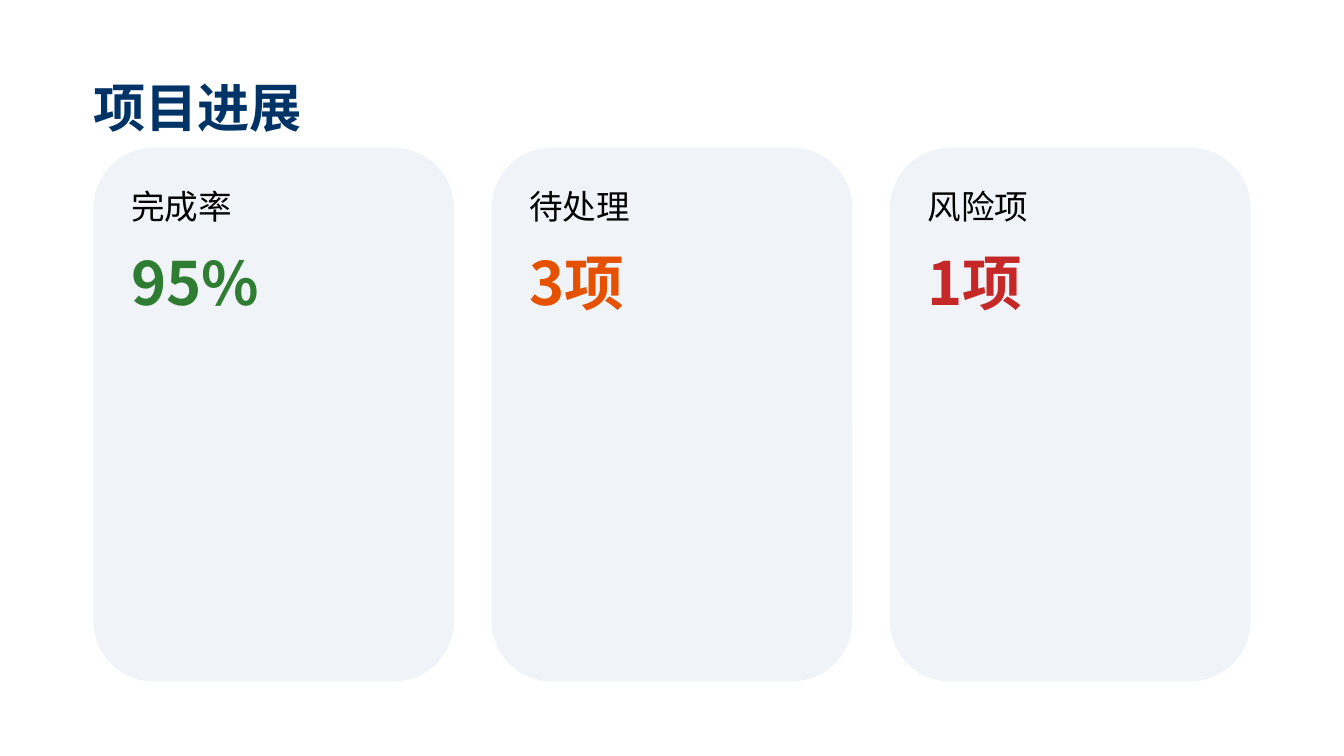
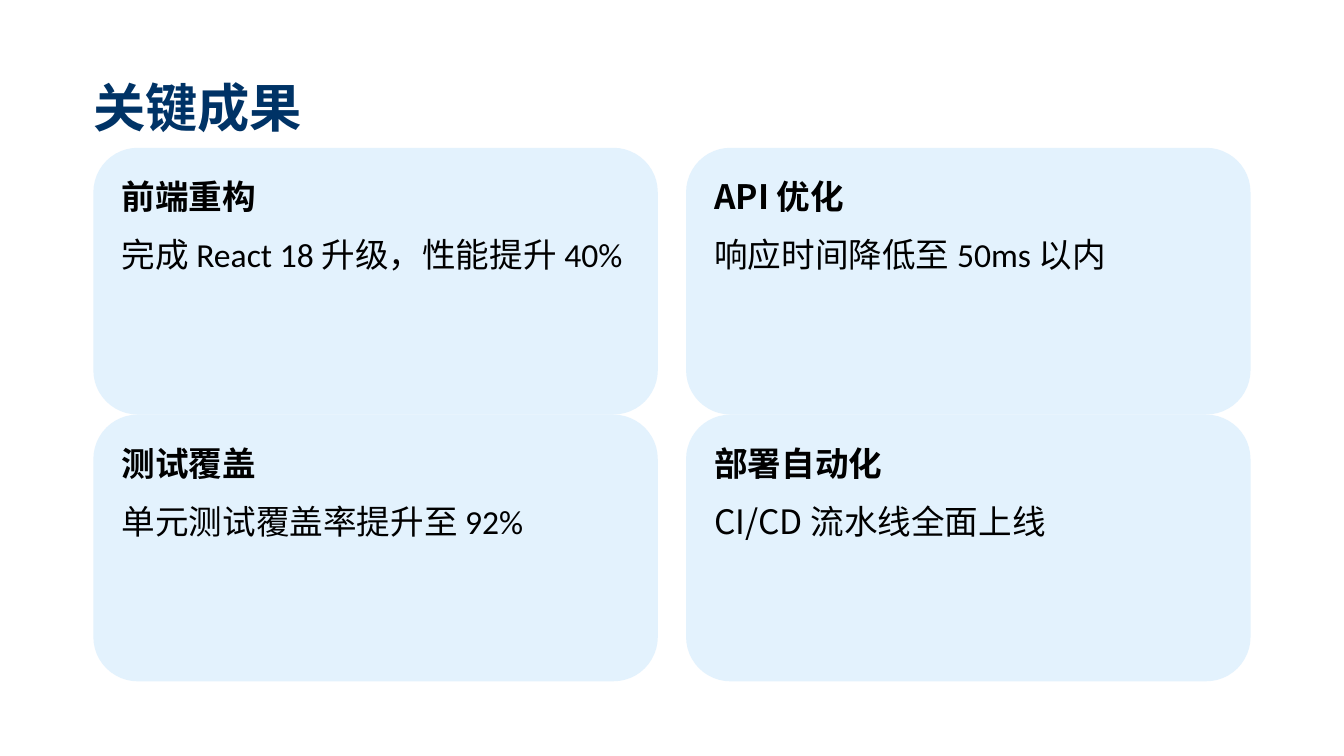
from dataclasses import dataclass

from pptx import Presentation
from pptx.dml.color import RGBColor
from pptx.enum.shapes import MSO_SHAPE
from pptx.slide import Slide
from pptx.util import Inches, Pt

ROUNDED_RECTANGLE = MSO_SHAPE.ROUNDED_RECTANGLE

NAVY = RGBColor(0x00, 0x33, 0x66)
BLACK = RGBColor(0x00, 0x00, 0x00)
GREEN = RGBColor(0x2E, 0x7D, 0x32)
ORANGE = RGBColor(0xE6, 0x51, 0x00)
RED = RGBColor(0xC6, 0x28, 0x28)
PALE_GREY = RGBColor(0xF0, 0xF4, 0xF8)
PALE_BLUE = RGBColor(0xE3, 0xF2, 0xFD)

LATIN_FONT = "Calibri"
CJK_FONT = "Noto Sans CJK SC"

# Page and content area shared by both slides, in inches
SLIDE_WIDTH = 10
SLIDE_HEIGHT = SLIDE_WIDTH * 9 / 16
CONTENT_WIDTH = 8.61
MARGIN_LEFT = (SLIDE_WIDTH - CONTENT_WIDTH) / 2
TITLE_TOP = 0.56
TITLE_HEIGHT = 0.56
CARDS_TOP = 1.1
CARDS_HEIGHT = 3.97
LABEL_HEIGHT = 0.36


@dataclass(frozen=True)
class TextStyle:
    size: int
    color: RGBColor = BLACK
    bold: bool = False
    font: str = LATIN_FONT


@dataclass(frozen=True)
class Card:
    label: str
    label_style: TextStyle
    body: str
    body_style: TextStyle
    body_height: float = LABEL_HEIGHT


@dataclass(frozen=True)
class CardGrid:
    columns: int
    rows: int
    gap: float
    body_offset: float
    fill: RGBColor


TITLE = TextStyle(28, NAVY, bold=True)
PLAIN = TextStyle(18)
HEADING = TextStyle(18, bold=True)


def metric(label: str, value: str, color: RGBColor) -> Card:
    return Card(label, PLAIN, value, TextStyle(32, color, True, CJK_FONT), 0.64)


METRIC_GRID = CardGrid(columns=3, rows=1, gap=0.28, body_offset=0.73, fill=PALE_GREY)
METRICS = [
    metric("完成率", "95%", GREEN),
    metric("待处理", "3项", ORANGE),
    metric("风险项", "1项", RED),
]

RESULT_GRID = CardGrid(columns=2, rows=2, gap=0.21, body_offset=0.64, fill=PALE_BLUE)
RESULTS = [
    Card("前端重构", HEADING, "完成 React 18 升级，性能提升 40%", PLAIN, 0.71),
    Card("API 优化", TextStyle(18, bold=True, font=CJK_FONT),
         "响应时间降低至 50ms 以内", PLAIN),
    Card("测试覆盖", HEADING, "单元测试覆盖率提升至 92%", PLAIN),
    Card("部署自动化", HEADING,
         "CI/CD 流水线全面上线", TextStyle(18, font=CJK_FONT)),
]


def add_text(slide: Slide, text: str, style: TextStyle,
             left: float, top: float, width: float, height: float) -> None:
    box = slide.shapes.add_textbox(Inches(left), Inches(top), Inches(width), Inches(height))
    frame = box.text_frame
    frame.word_wrap = True
    frame.margin_left = frame.margin_right = frame.margin_top = frame.margin_bottom = 0
    paragraph = frame.paragraphs[0]
    paragraph.text = text
    paragraph.font.name = style.font
    paragraph.font.size = Pt(style.size)
    paragraph.font.bold = style.bold
    paragraph.font.color.rgb = style.color


def add_cards(slide: Slide, grid: CardGrid, cards: list[Card]) -> None:
    """Fill the content area row by row; the column gap is also the card padding."""
    width = (CONTENT_WIDTH - grid.gap * (grid.columns - 1)) / grid.columns
    height = CARDS_HEIGHT / grid.rows
    text_width = width - 2 * grid.gap
    for index, card in enumerate(cards):
        row, column = divmod(index, grid.columns)
        left = MARGIN_LEFT + column * (width + grid.gap)
        top = CARDS_TOP + row * height
        panel = slide.shapes.add_shape(
            ROUNDED_RECTANGLE, Inches(left), Inches(top), Inches(width), Inches(height))
        panel.shadow.inherit = False
        panel.fill.solid()
        panel.fill.fore_color.rgb = grid.fill
        panel.line.fill.background()
        text_left = left + grid.gap
        add_text(slide, card.label, card.label_style,
                 text_left, top + grid.gap, text_width, LABEL_HEIGHT)
        add_text(slide, card.body, card.body_style,
                 text_left, top + grid.body_offset, text_width, card.body_height)


def main() -> None:
    presentation = Presentation()
    presentation.slide_width = Inches(SLIDE_WIDTH)
    presentation.slide_height = Inches(SLIDE_HEIGHT)
    blank_layout = presentation.slide_layouts[6]
    for title, grid, cards in (
        ("项目进展", METRIC_GRID, METRICS),
        ("关键成果", RESULT_GRID, RESULTS),
    ):
        slide = presentation.slides.add_slide(blank_layout)
        add_text(slide, title, TITLE,
                 MARGIN_LEFT, TITLE_TOP, CONTENT_WIDTH, TITLE_HEIGHT)
        add_cards(slide, grid, cards)
    presentation.save("out.pptx")


if __name__ == "__main__":
    main()
